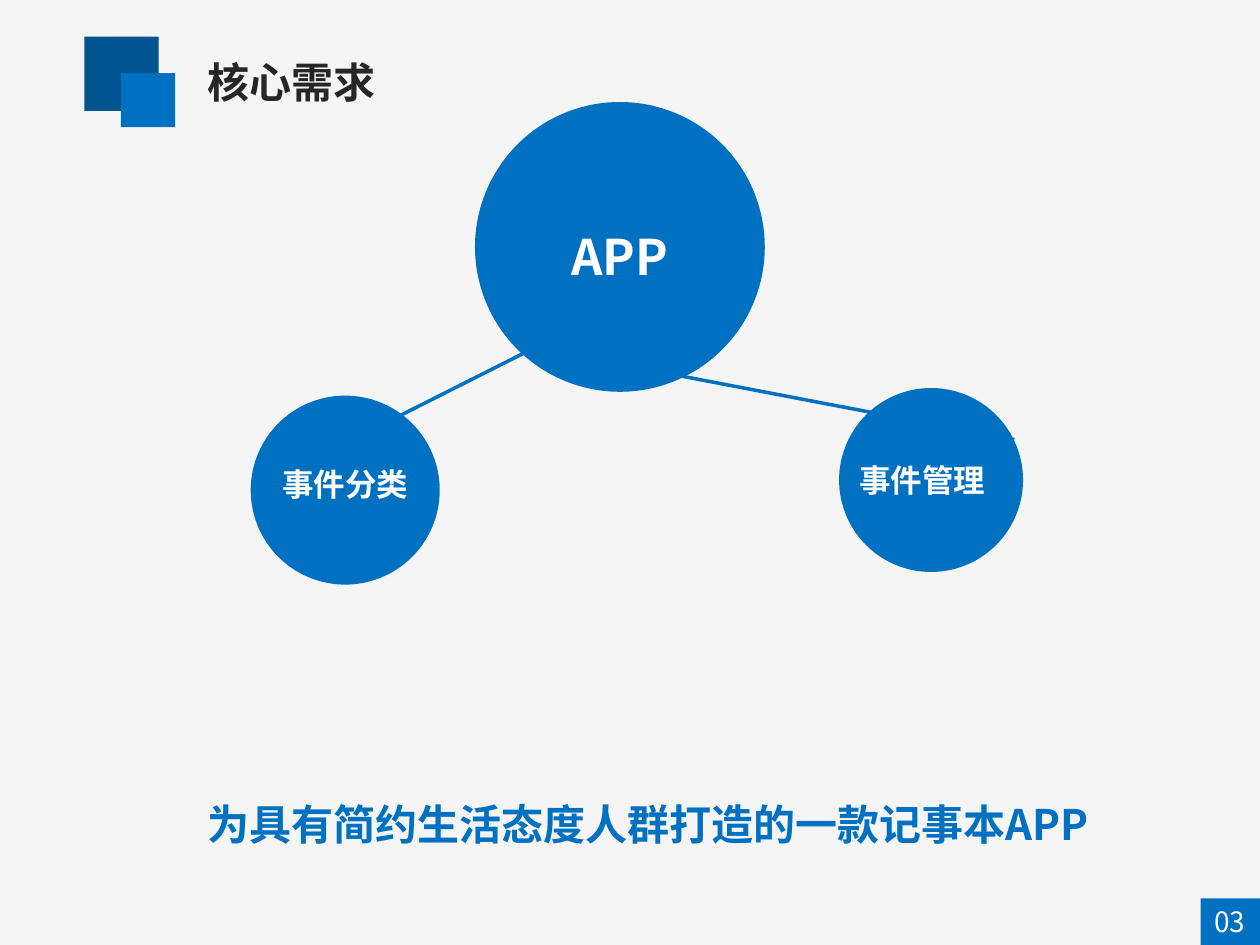
import pptx
import pptx.dml.color
import pptx.enum.shapes
import pptx.enum.text
import pptx.oxml.ns
import pptx.util
from lxml import etree
from pptx.util import Inches

RGBColor = pptx.dml.color.RGBColor
MSO_SHAPE = pptx.enum.shapes.MSO_SHAPE
PP_ALIGN = pptx.enum.text.PP_ALIGN
qn = pptx.oxml.ns.qn

BACKGROUND = RGBColor(0xF5, 0xF5, 0xF5)
BLUE = RGBColor(0x00, 0x70, 0xC0)
DARK_BLUE = RGBColor(0x00, 0x54, 0x90)
INK = RGBColor(0x26, 0x26, 0x26)
WHITE = RGBColor(0xFF, 0xFF, 0xFF)
FONT = "Noto Sans CJK SC"


def write_text(frame, text, size, color, align=PP_ALIGN.CENTER, bold=True):
    frame.word_wrap = True
    frame.auto_size = pptx.enum.text.MSO_AUTO_SIZE.NONE
    paragraph = frame.paragraphs[0]
    paragraph.alignment = align
    run = paragraph.add_run()
    run.text = text
    run.font.size = pptx.util.Pt(size)
    run.font.bold = bold
    run.font.color.rgb = color
    run.font.name = FONT
    east_asian = etree.SubElement(run.font._element, qn("a:ea"))
    east_asian.set("typeface", FONT)
    return paragraph


def add_title(slide, text):
    title = slide.shapes.title
    title.left, title.top = Inches(1.55), Inches(0.4)
    title.width, title.height = Inches(7.78), Inches(0.5)
    title.text_frame.vertical_anchor = pptx.enum.text.MSO_ANCHOR.MIDDLE
    write_text(title.text_frame, text, 24, INK, PP_ALIGN.LEFT)


def add_filled(slide, preset, left, top, width, height, color=BLUE):
    filled = slide.shapes.add_shape(
        preset, Inches(left), Inches(top), Inches(width), Inches(height))
    filled.shadow.inherit = False
    filled.fill.solid()
    filled.fill.fore_color.rgb = color
    filled.line.fill.background()


def add_label(slide, left, top, width, height, text, size, color=WHITE, bold=True):
    label = slide.shapes.add_textbox(
        Inches(left), Inches(top), Inches(width), Inches(height))
    return write_text(label.text_frame, text, size, color, bold=bold)


def add_link(slide, start_x, start_y, end_x, end_y):
    link = slide.shapes.add_connector(
        pptx.enum.shapes.MSO_CONNECTOR.STRAIGHT,
        Inches(start_x), Inches(start_y), Inches(end_x), Inches(end_y))
    link.line.color.rgb = BLUE
    link.line.width = pptx.util.Pt(2)
    etree.SubElement(link._element.spPr, qn("a:effectLst"))


def add_bubble(slide, left, top, diameter, text, size, label_box):
    add_filled(slide, MSO_SHAPE.OVAL, left, top, diameter, diameter)
    add_label(slide, *label_box, text, size)


def add_tagline(slide, text):
    tagline = add_label(slide, 0.56, 6.19, 8.66, 0.61, text, 24, BLUE)
    tagline.line_spacing = 1.25
    tagline._p.get_or_add_pPr().set("indent", str(Inches(0.5)))


def add_page_number(slide, number):
    add_filled(slide, MSO_SHAPE.RECTANGLE, 9.53, 7.13, 0.47, 0.37)
    add_label(slide, 9.41, 7.13, 0.7, 0.37, number, 16, bold=False)


def main():
    deck = pptx.Presentation()
    deck.slide_width, deck.slide_height = Inches(10), Inches(7.5)
    slide = deck.slides.add_slide(deck.slide_layouts.get_by_name("Title Only"))
    slide.background.fill.solid()
    slide.background.fill.fore_color.rgb = BACKGROUND

    add_filled(slide, MSO_SHAPE.RECTANGLE, 0.67, 0.29, 0.59, 0.59, DARK_BLUE)
    add_filled(slide, MSO_SHAPE.RECTANGLE, 0.96, 0.58, 0.43, 0.43)
    add_title(slide, "核心需求")

    add_link(slide, 2.32, 3.73, 4.46, 2.65)
    add_link(slide, 4.44, 2.8, 8.05, 3.49)
    add_tagline(slide, "为具有简约生活态度人群打造的一款记事本APP")
    add_page_number(slide, "03")

    add_bubble(slide, 3.77, 0.81, 2.3, "APP", 28, (3.77, 1.75, 2.3, 0.57))
    add_bubble(slide, 6.66, 3.08, 1.46, "事件管理", 18, (6.23, 3.61, 2.18, 0.4))
    add_bubble(slide, 1.99, 3.14, 1.5, "事件分类", 18, (1.62, 3.64, 2.24, 0.4))

    deck.save("out.pptx")


if __name__ == "__main__":
    main()
